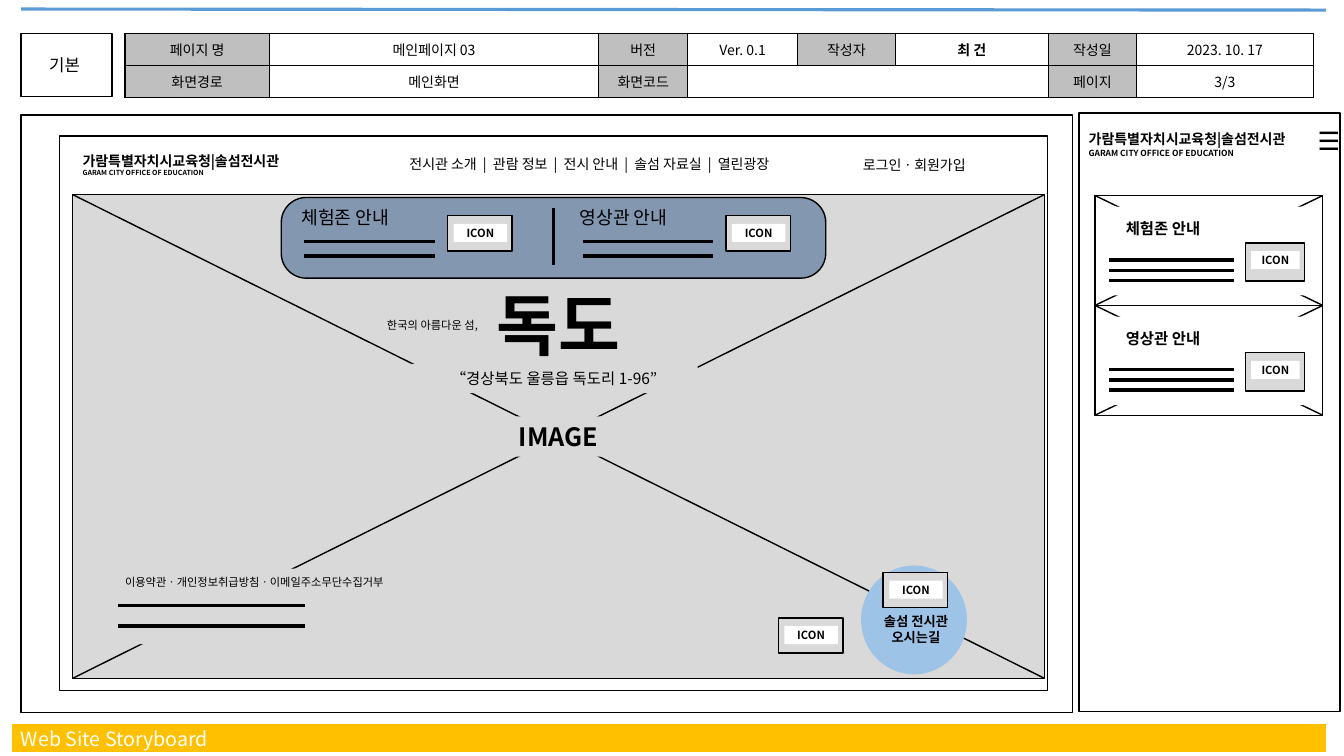
"""Build the storyboard slide for main page 03 of an exhibition hall web site."""
from dataclasses import dataclass

from lxml import etree
from pptx import Presentation
from pptx.dml.color import RGBColor
from pptx.enum.shapes import MSO_CONNECTOR, MSO_SHAPE
from pptx.enum.text import MSO_ANCHOR, PP_ALIGN
from pptx.oxml.ns import qn
from pptx.util import Inches, Pt

RECT, ROUND, OVAL = MSO_SHAPE.RECTANGLE, MSO_SHAPE.ROUNDED_RECTANGLE, MSO_SHAPE.OVAL
STRAIGHT = MSO_CONNECTOR.STRAIGHT
LEFT, CENTER = PP_ALIGN.LEFT, PP_ALIGN.CENTER
TOP, MIDDLE = MSO_ANCHOR.TOP, MSO_ANCHOR.MIDDLE


@dataclass(frozen=True)
class Theme:
    font: str = "Noto Sans CJK KR"
    black: str = "000000"
    white: str = "FFFFFF"
    image: str = "D9D9D9"
    heading: str = "BFBFBF"
    banner: str = "8497B0"
    circle: str = "9DC3E6"
    blue: str = "5B9BD5"
    amber: str = "FFC000"
    hero: float = 48
    large: float = 18
    footer: float = 14
    card: float = 13
    badge: float = 12
    medium: float = 11
    body: float = 10
    route: float = 9.5
    small: float = 8
    mobile_tagline: float = 6
    tagline: float = 5
    thin: float = 1
    divider: float = 1.5
    thick: float = 2.25
    band: float = 20


THEME = Theme()

INFO_LEFT, INFO_TOP, INFO_ROW = 1.24, 0.33, 0.32
INFO_WIDTHS = [1.43, 3.27, 0.88, 1.09, 0.97, 1.52, 0.87, 1.76]
INFO_ROWS = [
    ["페이지 명", "메인페이지 03", "버전", "Ver. 0.1", "작성자", "최 건", "작성일", "2023. 10. 17"],
    ["화면경로", "메인화면", "화면코드", "", "", "", "페이지", "3/3"],
]
INFO_HEADINGS = {"페이지 명", "화면경로", "버전", "화면코드", "작성자", "작성일", "페이지"}
INFO_BOLD = {"최 건"}

SITE_NAME = ["가람특별자치시교육청|솔섬전시관", "GARAM CITY OFFICE OF EDUCATION"]
MENU = ["전시관 소개", "관람 정보", "전시 안내", "솔섬 자료실", "열린광장"]
CARDS = ["체험존 안내", "영상관 안내"]
HERO_LABELS = [
    ("IMAGE", (3.78, 4.13, 3.52, 0.4), THEME.large, True),
    ("독도", (4.67, 2.76, 1.74, 0.91), THEME.hero, True),
    ("한국의 아름다운 섬,", (3.69, 3.1, 1.2, 0.24), THEME.small, False),
    ("“경상북도 울릉읍 독도리 1-96”", (4.07, 3.61, 2.85, 0.29), THEME.medium, False),
]
POLICIES = "이용약관ㆍ개인정보취급방침ㆍ이메일주소무단수집거부"
ROUTE = ["솔섬 전시관", "오시는길"]

BANNER_CARD_LEFT, BANNER_CARD_STEP = 2.89, 2.76
MOBILE_CARD_TOP, MOBILE_CARD_HEIGHT = 1.94, 1.09

deck = Presentation()
deck.slide_width, deck.slide_height = Inches(13.33), Inches(7.5)
page = deck.slides.add_slide(deck.slide_layouts[6])


def rgb(color):
    return RGBColor.from_string(color)


def style_span(span, size, color, bold):
    span.font.name = THEME.font
    span.font.size = Pt(size)
    span.font.bold = bold
    span.font.color.rgb = rgb(color)
    properties = span.font._element
    east_asian = etree.Element(qn("a:ea"), typeface=THEME.font)
    properties.find(qn("a:latin")).addnext(east_asian)


def write(frame, lines, sizes, align, color=THEME.black, bold=False):
    frame.text = "\n".join(lines)
    for para, size in zip(frame.paragraphs, sizes):
        para.alignment = align
        for span in para.runs:
            style_span(span, size, color, bold)


def add_text(box, lines, sizes, align=LEFT, color=THEME.black, bold=False):
    frame = page.shapes.add_textbox(*map(Inches, box)).text_frame
    frame.word_wrap = True
    frame.vertical_anchor = TOP
    write(frame, lines, sizes, align, color, bold)


def add_box(box, fill, outline=True, kind=RECT):
    shape = page.shapes.add_shape(kind, *map(Inches, box))
    shape.shadow.inherit = False
    shape.fill.solid()
    shape.fill.fore_color.rgb = rgb(fill)
    if outline:
        shape.line.color.rgb = rgb(THEME.black)
        shape.line.width = Pt(THEME.thin)
    else:
        shape.line.fill.background()
    return shape


def add_label(box, fill, text, size, bold=False):
    frame = add_box(box, fill, outline=False).text_frame
    frame.margin_left = frame.margin_right = frame.margin_top = frame.margin_bottom = 0
    frame.vertical_anchor = MIDDLE
    frame.word_wrap = True
    write(frame, [text], [size], CENTER, bold=bold)


def add_line(x1, y1, x2, y2, width=THEME.thin, color=THEME.black):
    line = page.shapes.add_connector(STRAIGHT, *map(Inches, (x1, y1, x2, y2)))
    line.line.color.rgb = rgb(color)
    line.line.width = Pt(width)
    etree.SubElement(line._element.spPr, qn("a:effectLst"))


def add_crossed_box(left, top, width, height, fill):
    right, bottom = left + width, top + height
    add_box((left, top, width, height), fill)
    add_line(left, top, right, bottom)
    add_line(left, bottom, right, top)


def add_icon(left, top, width=0.64, height=0.35):
    add_box((left, top, width, height), THEME.image)
    add_label((left + 0.06, top + 0.08, width - 0.11, 0.18), THEME.white, "ICON", THEME.small, True)


def add_cell_borders(cell):
    properties = cell._tc.get_or_add_tcPr()
    for index, side in enumerate(("a:lnL", "a:lnR", "a:lnT", "a:lnB")):
        border = etree.Element(qn(side), w=str(Pt(THEME.thin)))
        fill = etree.SubElement(border, qn("a:solidFill"))
        etree.SubElement(fill, qn("a:srgbClr"), val=THEME.black)
        properties.insert(index, border)


def add_info_table():
    area = (INFO_LEFT, INFO_TOP, sum(INFO_WIDTHS), INFO_ROW * len(INFO_ROWS))
    table = page.shapes.add_table(len(INFO_ROWS), len(INFO_WIDTHS), *map(Inches, area)).table
    table.first_row = table.horz_banding = False
    for column, width in zip(table.columns, INFO_WIDTHS):
        column.width = Inches(width)
    for row_index, texts in enumerate(INFO_ROWS):
        table.rows[row_index].height = Inches(INFO_ROW)
        for column_index, text in enumerate(texts):
            cell = table.cell(row_index, column_index)
            cell.margin_left = cell.margin_right = cell.margin_top = cell.margin_bottom = 0
            cell.vertical_anchor = MIDDLE
            cell.fill.solid()
            cell.fill.fore_color.rgb = rgb(THEME.heading if text in INFO_HEADINGS else THEME.white)
            write(cell.text_frame, [text], [THEME.body], CENTER, bold=text in INFO_BOLD)
            add_cell_borders(cell)
    table.cell(1, 3).merge(table.cell(1, 5))


def add_page_frame():
    add_box((0.21, 1.14, 10.43, 5.93), THEME.white)
    add_box((0.21, 0.33, 0.9, 0.63), THEME.white)
    add_text((0.39, 0.49, 0.54, 0.36), ["기본"], [THEME.badge])
    add_line(0.21, 0.09, 13.15, 0.1, THEME.thick, THEME.blue)
    add_line(0.12, 7.32, 13.15, 7.32, THEME.band, THEME.amber)
    add_text((0.11, 7.16, 2.61, 0.34), ["Web Site Storyboard"], [THEME.footer], color=THEME.white)


def add_desktop():
    add_box((0.59, 1.35, 9.8, 5.5), THEME.white)
    add_text((0.72, 1.46, 2.52, 0.35), SITE_NAME, [THEME.body, THEME.tagline], bold=True)
    add_crossed_box(0.72, 1.93, 9.64, 4.8, THEME.image)
    add_text((3.62, 1.49, 4.45, 0.27), ["  |  ".join(MENU)], [THEME.body], CENTER)
    add_text((8.46, 1.5, 1.32, 0.27), ["로그인ㆍ회원가입"], [THEME.body])
    add_box((8.54, 5.61, 1.05, 1.08), THEME.circle, False, OVAL)
    add_text((8.61, 6.03, 0.95, 0.42), ROUTE, [THEME.route] * 2, CENTER, bold=True)
    add_box((0.78, 5.64, 2.41, 0.75), THEME.image, False)
    add_label((0.94, 5.65, 3.17, 0.24), THEME.image, POLICIES, THEME.small)
    for y in (6.01, 6.21):
        add_line(1.17, y, 3.03, y, THEME.thick)
    add_icon(8.76, 5.68)
    add_icon(7.72, 6.13)
    for text, box, size, bold in HERO_LABELS:
        add_label(box, THEME.image, text, size, bold)


def add_banner():
    add_box((2.79, 1.96, 5.4, 0.8), THEME.banner, kind=ROUND).adjustments[0] = 0.31
    for index, title in enumerate(CARDS):
        left = BANNER_CARD_LEFT + index * BANNER_CARD_STEP
        add_text((left, 2, 1.25, 0.32), [title], [THEME.card])
        for y in (2.4, 2.54):
            add_line(left + 0.13, y, left + 1.42, y, THEME.thick)
        add_icon(left + 1.55, 2.14)
    add_line(5.49, 2.06, 5.49, 2.63, THEME.divider)


def add_mobile():
    add_box((10.7, 1.12, 2.59, 5.94), THEME.white)
    for index, title in enumerate(CARDS):
        top = MOBILE_CARD_TOP + index * MOBILE_CARD_HEIGHT
        add_crossed_box(10.86, top, 2.26, MOBILE_CARD_HEIGHT, THEME.white)
        add_box((10.92, top + 0.11, 2.14, 0.88), THEME.white, False)
        add_label((10.99, top + 0.18, 1.09, 0.29), THEME.white, title, THEME.medium, True)
        add_icon(12.35, top + 0.47, 0.59, 0.38)
        for row in range(3):
            y = top + 0.64 + row * 0.1
            add_line(11, y, 12.24, y, THEME.thick)
    add_text((12.97, 1.19, 0.3, 0.44), ["☰"], [THEME.large], CENTER)
    add_text((10.7, 1.25, 2.34, 0.4), SITE_NAME, [THEME.body, THEME.mobile_tagline], bold=True)


add_page_frame()
add_info_table()
add_desktop()
add_banner()
add_mobile()
deck.save("out.pptx")
